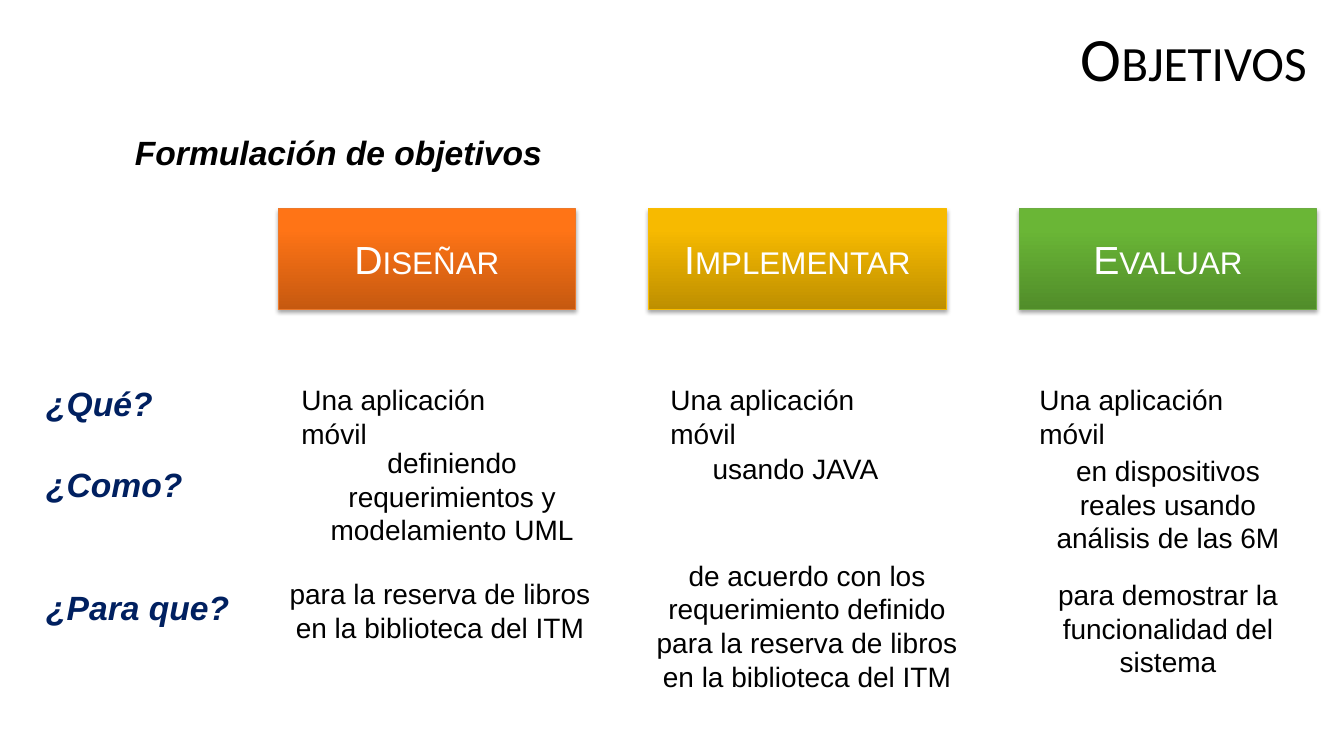
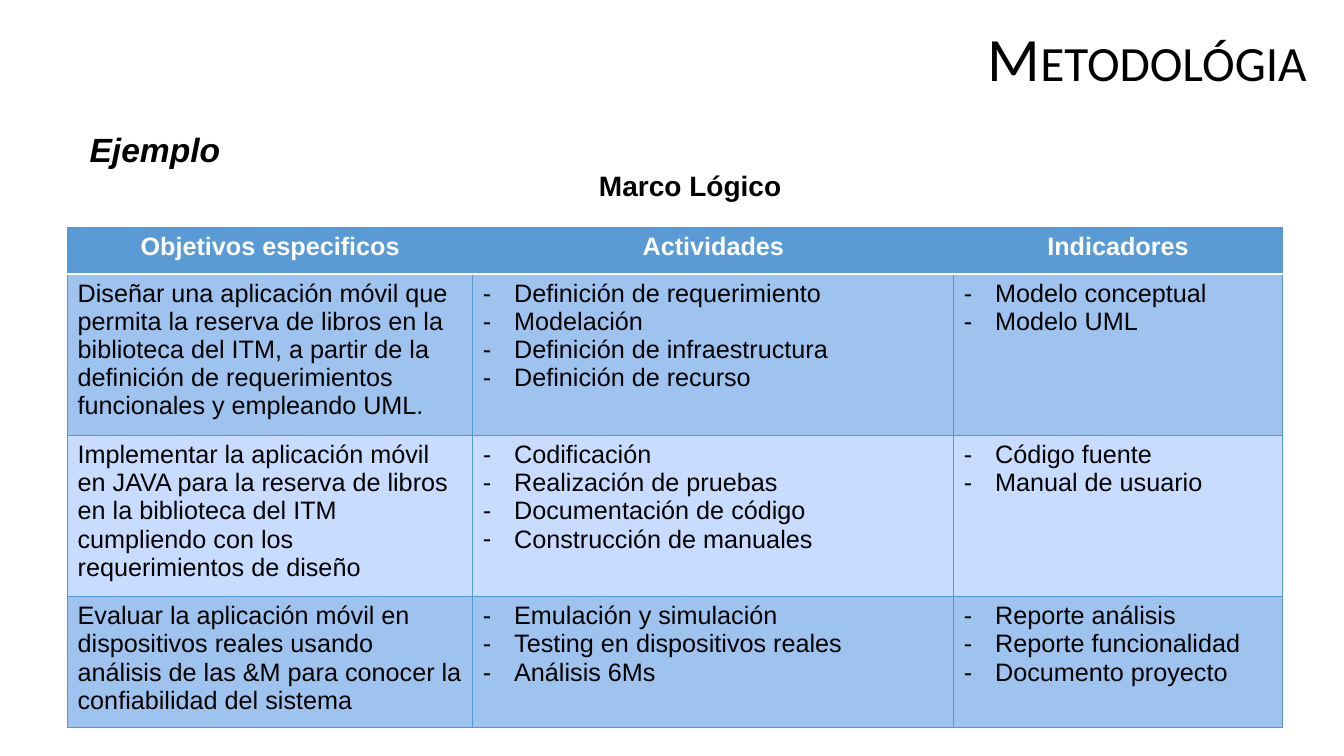
from lxml.etree import SubElement
from pptx import Presentation
from pptx.dml.color import RGBColor
from pptx.enum.shapes import MSO_SHAPE as Shape
from pptx.enum.text import MSO_ANCHOR as Anchor, MSO_AUTO_SIZE as Auto, PP_ALIGN as Align
from pptx.oxml.ns import qn
from pptx.util import Inches, Pt

BLACK, WHITE, NAVY = "000000", "FFFFFF", "002060"
HEAD, EDGE = "5B9BD5", "5698D3"
BANDS = ["9DC3EE", "C7DCFF"]
SUB = dict(size=24, bold=True, italic=True)

# verb, gradient (bottom, top), outline
VERBS = [
    ("Diseñar", ("C65910", "FF7416"), "EC792B"),
    ("Implementar", ("BE8F00", "F7BA00"), "F9BC00"),
    ("Evaluar", ("518D2A", "6AB636"), "6DAC43"),
]
# left, top, width, height, text
ANSWERS = [
    (2.9, 4.37, 3.17, 1.11, "definiendo requerimientos y modelamiento UML"),
    (6.95, 4.43, 1.88, 0.44, "usando JAVA"),
    (10.21, 4.45, 2.75, 1.11, "en dispositivos reales usando análisis de las 6M"),
    (2.76, 5.67, 3.21, 0.77, "para la reserva de libros en la biblioteca del ITM"),
    (6.4, 5.49, 3.21, 1.45, "de acuerdo con los requerimiento definido "
     "para la reserva de libros en la biblioteca del ITM"),
    (9.98, 5.68, 3.21, 1.11, "para demostrar la funcionalidad del sistema"),
]
# question, space before in points
ASKS = [("¿Qué?", 0), ("¿Como?", 29.3), ("¿Para que?", 58.6)]

HEADS = ["Objetivos especificos", "Actividades", "Indicadores"]
GOALS = [
    ("Diseñar una aplicación móvil que permita la reserva de libros en la biblioteca "
     "del ITM, a partir de la definición de requerimientos funcionales y empleando UML.",
     ["Definición de requerimiento", "Modelación",
      "Definición de infraestructura", "Definición de recurso"],
     ["Modelo conceptual", "Modelo UML"]),
    ("Implementar la aplicación móvil en JAVA para la reserva de libros en la biblioteca "
     "del ITM cumpliendo con los requerimientos de diseño",
     ["Codificación", "Realización de pruebas",
      "Documentación de código", "Construcción de manuales"],
     ["Código fuente", "Manual de usuario"]),
    ("Evaluar la aplicación móvil en dispositivos reales usando análisis de las &M "
     "para conocer la confiabilidad del sistema",
     ["Emulación y simulación", "Testing en dispositivos reales", "Análisis 6Ms"],
     ["Reporte análisis", "Reporte funcionalidad", "Documento proyecto"]),
]


def rgb(code):
    return RGBColor.from_string(code)


def write(para, text, color=BLACK, align=Align.LEFT, caps=False, **style):
    run = para.add_run()
    run.text = text
    para.alignment = align
    for key, value in {"name": "Arial", "bold": False, **style}.items():
        setattr(run.font, key, Pt(value) if key == "size" else value)
    run.font.color.rgb = rgb(color)
    if caps:
        run._r.get_or_add_rPr().set("cap", "small")


def add_box(slide, left, top, width, height):
    box = slide.shapes.add_textbox(*map(Inches, (left, top, width, height)))
    box.text_frame.word_wrap = True
    return box.text_frame


def add_text(slide, left, top, width, height, text, **style):
    write(add_box(slide, left, top, width, height).paragraphs[0], text, **style)


def add_slide(deck, title):
    slide = deck.slides.add_slide(deck.slide_layouts[5])
    head = slide.shapes.title
    place = dict(left=3.14, top=0.23, width=9.92, height=1.03)
    for key, value in place.items():
        setattr(head, key, Inches(value))
    frame = head.text_frame
    frame.auto_size = Auto.NONE
    frame.vertical_anchor = Anchor.TOP
    para = frame.paragraphs[0]
    write(para, title, align=Align.RIGHT, caps=True, name="Calibri", size=44)
    para.line_spacing = 0.9
    return slide


def add_verb(slide, left, top, text, shades, edge):
    card = slide.shapes.add_shape(Shape.RECTANGLE, *map(Inches, (left, top, 2.95, 1)))
    card.fill.gradient()
    card.fill.gradient_angle = 90
    for stop, shade, spot in zip(card.fill.gradient_stops, shades, (0, 0.8)):
        stop.color.rgb = rgb(shade)
        stop.position = spot
    card.line.color.rgb = rgb(edge)
    card.line.width = Pt(0.75)
    card.shadow.inherit = False
    glow = SubElement(card._element.spPr.find(qn("a:effectLst")), qn("a:outerShdw"),
                      blurRad=str(Pt(3.1)), dist=str(Pt(1.8)), dir="5400000", rotWithShape="0")
    tint = SubElement(glow, qn("a:srgbClr"), val=BLACK)
    SubElement(tint, qn("a:alpha"), val="35000")
    card.text_frame.vertical_anchor = Anchor.MIDDLE
    write(card.text_frame.paragraphs[0], text, WHITE, Align.CENTER, caps=True, size=28)


def add_asks(slide, left, top):
    frame = add_box(slide, left, top, 2.25, 2.52)
    for i, (text, gap) in enumerate(ASKS):
        para = frame.add_paragraph() if i else frame.paragraphs[0]
        write(para, text, NAVY, **SUB)
        para.space_before = Pt(gap)


def add_edges(cell, **edges):
    """Draw borders given as side=(colour, points)."""
    props = cell._tc.get_or_add_tcPr()
    for side in "LRTB":
        color, width = edges.get(side, (EDGE, 0.75))
        line = SubElement(props, qn("a:ln" + side), w=str(Pt(width)))
        SubElement(SubElement(line, qn("a:solidFill")), qn("a:srgbClr"), val=color)


def fill_cell(cell, content, row):
    rule = (WHITE, 2)
    add_edges(cell, **({"B": rule} if row == 0 else {"T": rule} if row == 1 else {}))
    cell.fill.solid()
    cell.fill.fore_color.rgb = rgb(BANDS[(row - 1) % 2] if row else HEAD)
    frame = cell.text_frame
    if row == 0:
        write(frame.paragraphs[0], content, WHITE, Align.CENTER, size=18, bold=True)
    elif isinstance(content, str):
        write(frame.paragraphs[0], content, size=18)
    else:
        for i, item in enumerate(content):
            para = frame.add_paragraph() if i else frame.paragraphs[0]
            write(para, item, size=18)
            props = para._p.get_or_add_pPr()
            props.set("marL", str(Inches(0.31)))
            props.set("indent", str(-Inches(0.31)))
            SubElement(props, qn("a:buFont"), typeface="Arial")
            SubElement(props, qn("a:buChar"), char="-")


def add_goals(slide, left, top):
    widths, heights = (4.02, 4.77, 3.26), (0.46, 1.6, 1.6, 1.3)
    size = (left, top, sum(widths), sum(heights))
    grid = slide.shapes.add_table(4, 3, *map(Inches, size)).table
    grid.horz_banding = False
    for col, width in zip(grid.columns, widths):
        col.width = Inches(width)
    for row, height in zip(grid.rows, heights):
        row.height = Inches(height)
    for r, line in enumerate([HEADS, *GOALS]):
        for c, content in enumerate(line):
            fill_cell(grid.cell(r, c), content, r)


def build_aims(deck):
    slide = add_slide(deck, "Objetivos")
    add_text(slide, 1.24, 1.26, 11.29, 0.5, "Formulación de objetivos", **SUB)
    for i, (verb, shades, edge) in enumerate(VERBS):
        add_verb(slide, 2.76 + 3.675 * i, 2.07, verb, shades, edge)
        add_text(slide, 2.89 + 3.66 * i, 3.75, 2.59, 0.78, "Una aplicación móvil", size=20)
    add_asks(slide, 0.36, 3.75)
    for answer in ANSWERS:
        add_text(slide, *answer, align=Align.CENTER, size=20)


def build_method(deck):
    slide = add_slide(deck, "Metodológia")
    add_text(slide, 0.79, 1.23, 11.29, 0.5, "Ejemplo", **SUB)
    add_goals(slide, 0.67, 2.26)
    add_text(slide, 0.97, 1.62, 11.75, 0.44, "Marco Lógico",
             align=Align.CENTER, size=20, bold=True)


def main():
    deck = Presentation()
    deck.slide_width, deck.slide_height = Inches(13.33), Inches(7.5)
    build_aims(deck)
    build_method(deck)
    deck.save("out.pptx")


if __name__ == "__main__":
    main()
